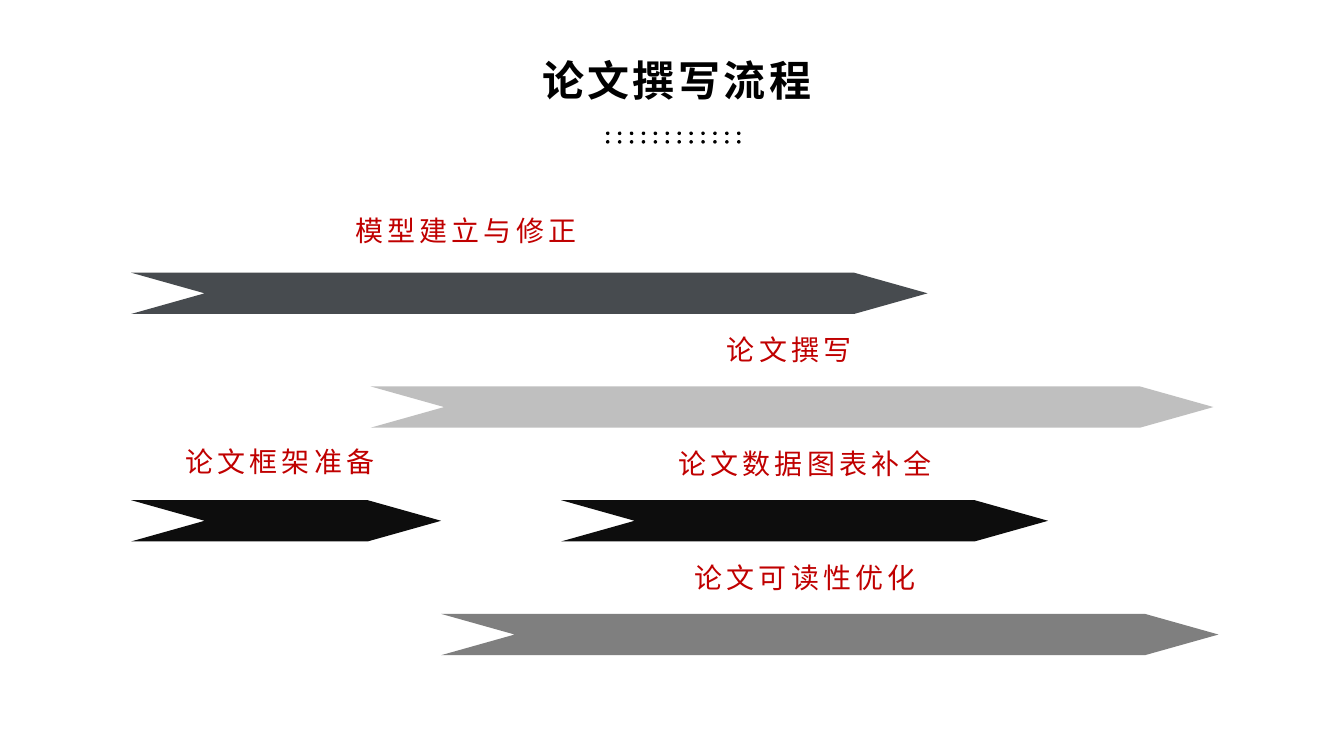
from pptx import Presentation
from pptx.dml.color import RGBColor
from pptx.enum.shapes import MSO_SHAPE
from pptx.enum.text import MSO_ANCHOR, MSO_AUTO_SIZE, PP_ALIGN
from pptx.oxml.ns import qn
from pptx.util import Inches, Pt

FONT = "Noto Sans CJK SC"
COLORS = {
    "title": "000000",
    "label": "C00000",
    "slate": "474B4F",
    "silver": "BFBFBF",
    "black": "0D0D0D",
    "gray": "7F7F7F",
}
TITLE = "论文撰写流程"
STAGES = [
    {"text": "模型建立与修正", "row": 0, "left": 2.6, "width": 15.8, "color": "slate", "label": (6.95, 4.19, 4.72)},
    {"text": "论文撰写", "row": 1, "left": 7.35, "width": 16.72, "color": "silver", "label": (14.32, 6.55, 2.78)},
    {"text": "论文框架准备", "row": 2, "left": 2.6, "width": 6.15, "color": "black", "label": (3.58, 8.78, 4.07)},
    {"text": "论文数据图表补全", "row": 2, "left": 11.13, "width": 9.66, "color": "black", "label": (13.36, 8.82, 5.36)},
    {"text": "论文可读性优化", "row": 3, "left": 8.75, "width": 15.42, "color": "gray", "label": (13.68, 11.08, 4.72)},
]
FIRST_ROW, LAST_ROW = 5.41, 12.18
ROW_STEP = (LAST_ROW - FIRST_ROW) / 3
ARROW_HEIGHT, ARROW_POINT = 0.82, 1.78
LABEL_HEIGHT = 0.77
DOT_COLUMNS, DOT_SIZE = 12, 0.07
DOT_LEFT, DOT_RIGHT = 12.02, 14.62
DOT_ROWS = [2.61, 2.78]


def add_filled(shapes, kind, left, top, width, height, color):
    shape = shapes.add_shape(kind, Inches(left), Inches(top), Inches(width), Inches(height))
    shape.shadow.inherit = False
    shape.fill.solid()
    shape.fill.fore_color.rgb = RGBColor.from_string(COLORS[color])
    shape.line.fill.background()
    return shape


def write_text(box, text, size, color, spacing, bold=False):
    frame = box.text_frame
    frame.text = text
    frame.word_wrap = False
    frame.auto_size = MSO_AUTO_SIZE.SHAPE_TO_FIT_TEXT
    span = frame.paragraphs[0].runs[0]
    span.font.size = Pt(size)
    span.font.bold = bold
    span.font.name = FONT
    span.font.color.rgb = RGBColor.from_string(COLORS[color])
    properties = span._r.get_or_add_rPr()
    properties.set("spc", str(spacing * 100))
    east_asian = properties.makeelement(qn("a:ea"), {"typeface": FONT})
    properties.find(qn("a:latin")).addnext(east_asian)


def add_title(page):
    title = page.shapes.title
    title.left, title.top = Inches(10.69), Inches(1.07)
    title.width, title.height = Inches(5.47), Inches(0.98)
    write_text(title, TITLE, 60, "title", 5, bold=True)
    frame = title.text_frame
    frame.margin_left = frame.margin_right = frame.margin_top = frame.margin_bottom = 0
    frame.vertical_anchor = MSO_ANCHOR.MIDDLE
    para = frame.paragraphs[0]
    para.alignment = PP_ALIGN.CENTER
    para.line_spacing = Pt(74)


def add_dots(page):
    group = page.shapes.add_group_shape()
    step = (DOT_RIGHT - DOT_LEFT) / (DOT_COLUMNS - 1)
    for top in DOT_ROWS:
        for column in range(DOT_COLUMNS):
            left = DOT_LEFT + column * step
            add_filled(group.shapes, MSO_SHAPE.OVAL, left, top, DOT_SIZE, DOT_SIZE, "title")


def add_stage(page, stage):
    top = FIRST_ROW + stage["row"] * ROW_STEP
    arrow = add_filled(page.shapes, MSO_SHAPE.CHEVRON, stage["left"], top,
                       stage["width"], ARROW_HEIGHT, stage["color"])
    arrow.adjustments[0] = ARROW_POINT
    left, top, width = stage["label"]
    label = page.shapes.add_textbox(Inches(left), Inches(top), Inches(width), Inches(LABEL_HEIGHT))
    write_text(label, stage["text"], 40, "label", 6)


def main():
    deck = Presentation()
    deck.slide_width, deck.slide_height = Inches(26.66), Inches(15)
    page = deck.slides.add_slide(deck.slide_layouts[5])
    add_title(page)
    add_dots(page)
    for stage in STAGES:
        add_stage(page, stage)
    deck.save("out.pptx")


if __name__ == "__main__":
    main()
